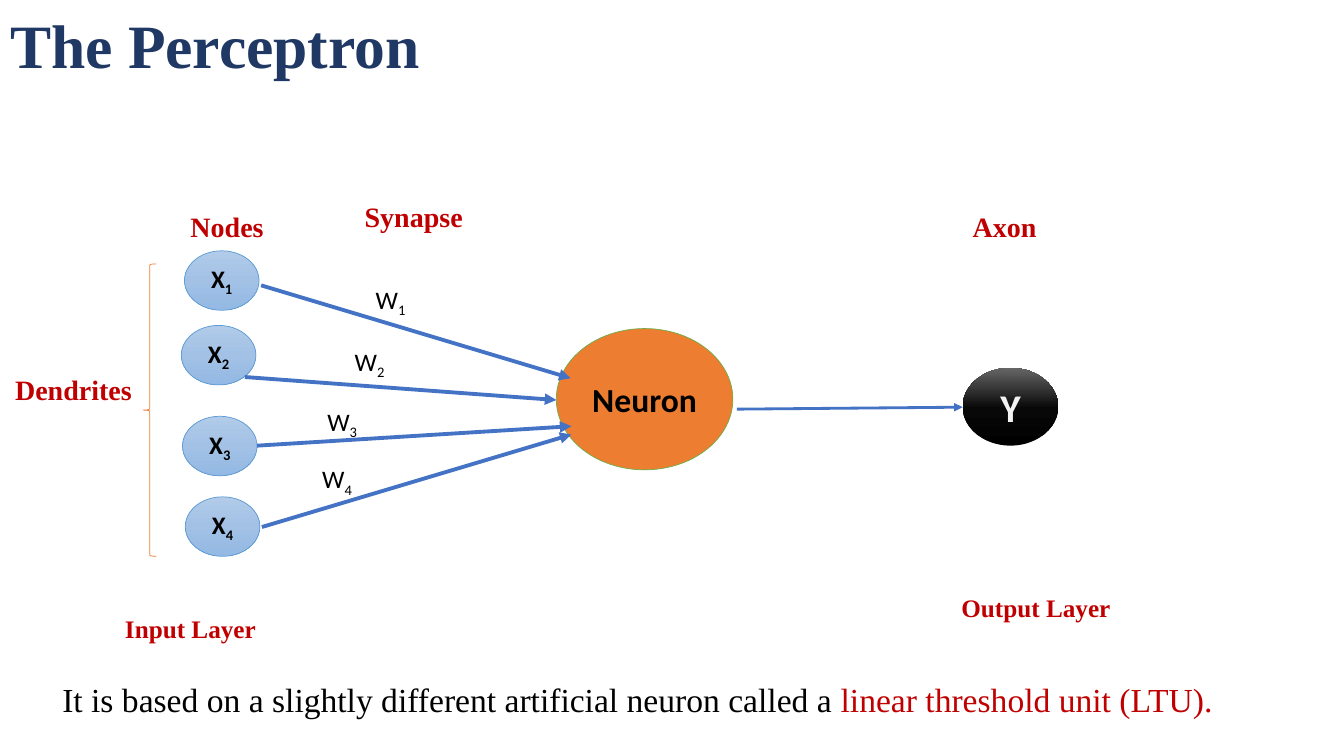
from copy import deepcopy

from lxml.etree import SubElement
from pptx import Presentation
from pptx.dml.color import RGBColor
from pptx.enum.shapes import MSO_CONNECTOR, MSO_SHAPE
from pptx.enum.text import MSO_ANCHOR, MSO_AUTO_SIZE, PP_ALIGN
from pptx.oxml.ns import qn
from pptx.util import Cm, Pt

SERIF, SANS = "Times New Roman", "Calibri"
NAVY, RED, BLACK, PALE = "203864", "C00000", "000000", "F2F2F2"
BLUE, SKY, ORANGE, GREEN = "4472C4", "5B9BD5", "ED7D31", "70AD47"
NODE_STOPS = [(0, "B1CBE9"), (0.5, "A3C1E5"), (1, "93B9E4")]
OUTPUT_STOPS = [(0, "000000"), (0.48, "080808"), (1, "666666")]


def rgb(value):
    return RGBColor.from_string(value)


class Diagram:
    """Holds the current slide and draws styled elements on it, in centimetres."""

    def __init__(self, slide):
        self.slide = slide
        self.shapes = slide.shapes

    def add_spans(self, para, parts, size, font=SANS, color=BLACK, bold=False):
        for part in parts:
            span = para.add_run()
            span.text = part
            span.font.name = font
            span.font.size = Pt(size)
            span.font.bold = bold
            span.font.color.rgb = rgb(color)

    def subscript(self, para):
        """Lower the last run of the paragraph."""
        para.runs[-1]._r.get_or_add_rPr().set("baseline", "-25000")

    def title(self, text, left, top, width, height):
        box = self.shapes.title
        box.left, box.top, box.width, box.height = map(Cm, (left, top, width, height))
        frame = box.text_frame
        frame.auto_size = MSO_AUTO_SIZE.NONE
        frame.vertical_anchor = MSO_ANCHOR.MIDDLE
        para = frame.paragraphs[0]
        para.alignment = PP_ALIGN.LEFT
        para.line_spacing = 0.9
        self.add_spans(para, [text], 44, SERIF, NAVY, True)

    def text(self, parts, left, top, width, height, size, **style):
        box = self.shapes.add_textbox(Cm(left), Cm(top), Cm(width), Cm(height))
        frame = box.text_frame
        frame.word_wrap = True
        frame.auto_size = MSO_AUTO_SIZE.SHAPE_TO_FIT_TEXT
        para = frame.paragraphs[0]
        self.add_spans(para, parts, size, **style)
        return para

    def heading(self, text, left, top, size=20):
        self.text([text], left, top, 4.65, 1.12 if size == 20 else 1.02, size,
                  font=SERIF, color=RED, bold=True)

    def outline(self, preset, left, top, width, height, line):
        shape = self.shapes.add_shape(preset, Cm(left), Cm(top), Cm(width), Cm(height))
        shape.shadow.inherit = False
        if line:
            shape.line.color.rgb = rgb(line)
            shape.line.width = Pt(0.5)
        else:
            shape.line.fill.background()
        return shape

    def ellipse(self, parts, left, top, width, height, size, line=None, color=BLACK):
        shape = self.outline(MSO_SHAPE.OVAL, left, top, width, height, line)
        frame = shape.text_frame
        frame.vertical_anchor = MSO_ANCHOR.MIDDLE
        para = frame.paragraphs[0]
        para.alignment = PP_ALIGN.CENTER
        self.add_spans(para, parts, size, color=color, bold=True)
        return shape

    def gradient(self, shape, stops, angle):
        shape.fill.gradient()
        shape.fill.gradient_angle = angle
        stop_list = shape._element.spPr.find(".//" + qn("a:gsLst"))
        stop_list.append(deepcopy(stop_list[-1]))
        for stop, (position, color) in zip(shape.fill.gradient_stops, stops):
            stop.position = position
            stop.color.rgb = rgb(color)

    def brace(self, left, top, width, height):
        shape = self.outline(MSO_SHAPE.LEFT_BRACE, left, top, width, height, ORANGE)
        shape.fill.background()

    def arrow(self, start, end, width):
        line = self.shapes.add_connector(MSO_CONNECTOR.STRAIGHT, *map(Cm, start + end))
        line.line.color.rgb = rgb(BLUE)
        line.line.width = Pt(width)
        SubElement(line.line._get_or_add_ln(), qn("a:tailEnd"), type="triangle")
        SubElement(line._element.spPr, qn("a:effectLst"))


def main():
    deck = Presentation()
    deck.slide_width, deck.slide_height = Cm(33.87), Cm(19.05)
    diagram = Diagram(deck.slides.add_slide(deck.slide_layouts[5]))
    diagram.title("The Perceptron", 0, -0.61, 29.21, 3.68)

    # Per input: node corner, synapse start and end, weight corner
    inputs = [
        ((4.65, 6.32), (6.58, 7.19), (14.38, 9.53), (9.22, 7.04)),
        ((4.57, 8.2), (6.17, 9.5), (14.02, 10.08), (8.69, 8.59)),
        ((4.6, 10.49), (6.48, 11.23), (14.4, 10.74), (8, 10.11)),
        ((4.67, 12.52), (6.6, 13.28), (14.4, 10.95), (7.87, 11.56)),
    ]
    for number, (corner, *_) in enumerate(inputs, 1):
        node = diagram.ellipse(["X", str(number)], *corner, 1.88, 1.5, 18, SKY)
        diagram.subscript(node.text_frame.paragraphs[0])
        diagram.gradient(node, NODE_STOPS, 270)

    neuron = diagram.ellipse(["Neuron"], 14.02, 8.28, 4.45, 3.56, 24, GREEN)
    neuron.fill.solid()
    neuron.fill.fore_color.rgb = rgb(ORANGE)

    for number, (_, start, end, corner) in enumerate(inputs, 1):
        diagram.arrow(start, end, 2.75)
        weight = diagram.text(["W", str(number)], *corner, 1.42, 1.02, 18)
        diagram.subscript(weight)

    diagram.arrow((18.57, 10.31), (24.26, 10.26), 2)
    output = diagram.ellipse(["Y"], 24.26, 9.27, 2.41, 1.96, 28, color=PALE)
    diagram.gradient(output, OUTPUT_STOPS, 90)
    diagram.brace(3.61, 6.65, 0.33, 7.37)

    diagram.heading("Dendrites", 0.13, 9.27)
    diagram.heading("Nodes", 4.55, 5.16)
    diagram.heading("Synapse", 8.94, 4.9)
    diagram.heading("Axon", 24.26, 5.16)
    diagram.heading("Input Layer", 2.9, 15.32, 18)
    diagram.heading("Output Layer", 23.98, 14.81, 18)

    sentence = diagram.text(
        ["It is based on a slightly different artificial neuron called a ",
         "linear threshold unit (LTU)."],
        1.32, 16.99, 30.15, 1.27, 24, font=SERIF)
    sentence.runs[-1].font.color.rgb = rgb(RED)
    deck.save("out.pptx")


if __name__ == "__main__":
    main()
